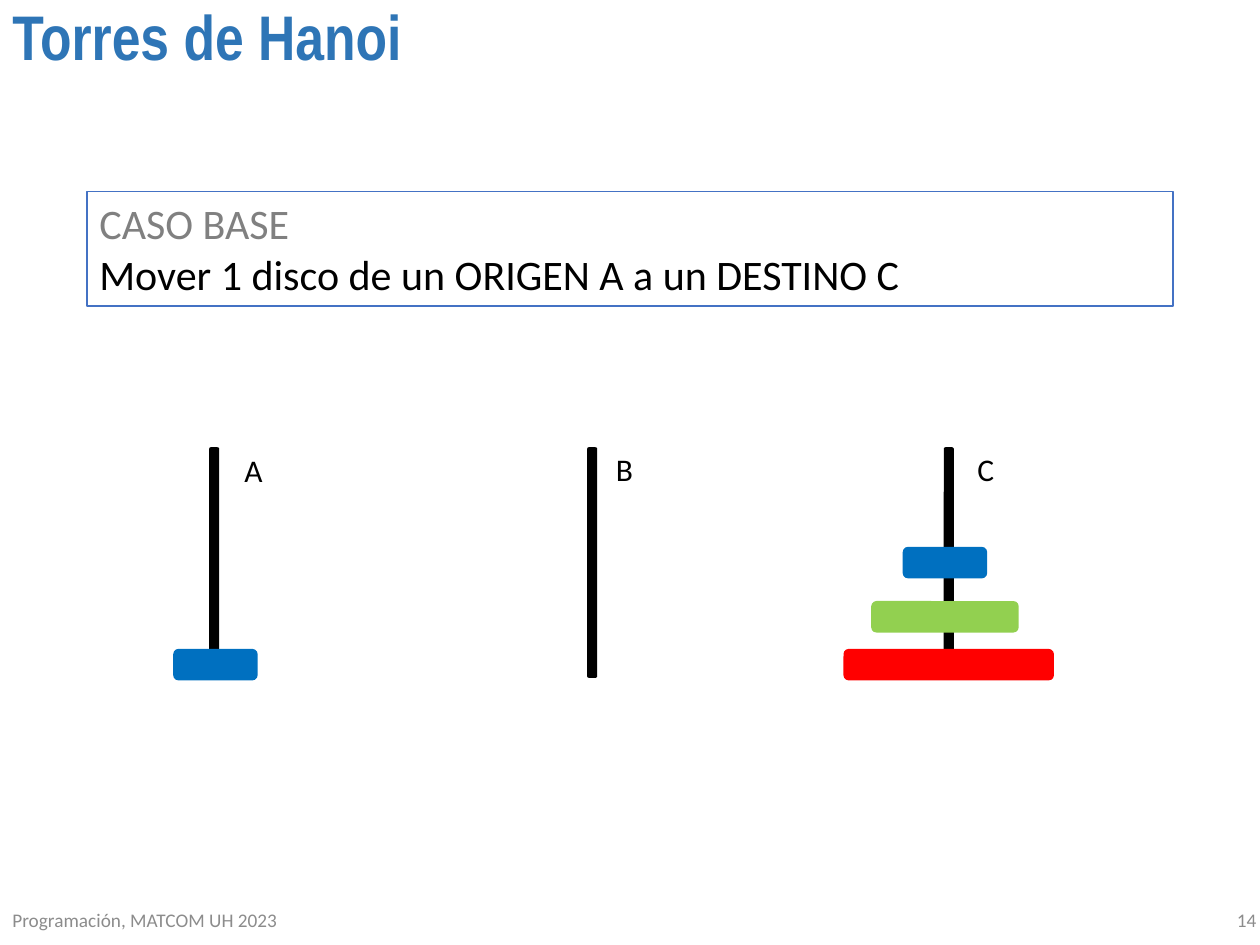
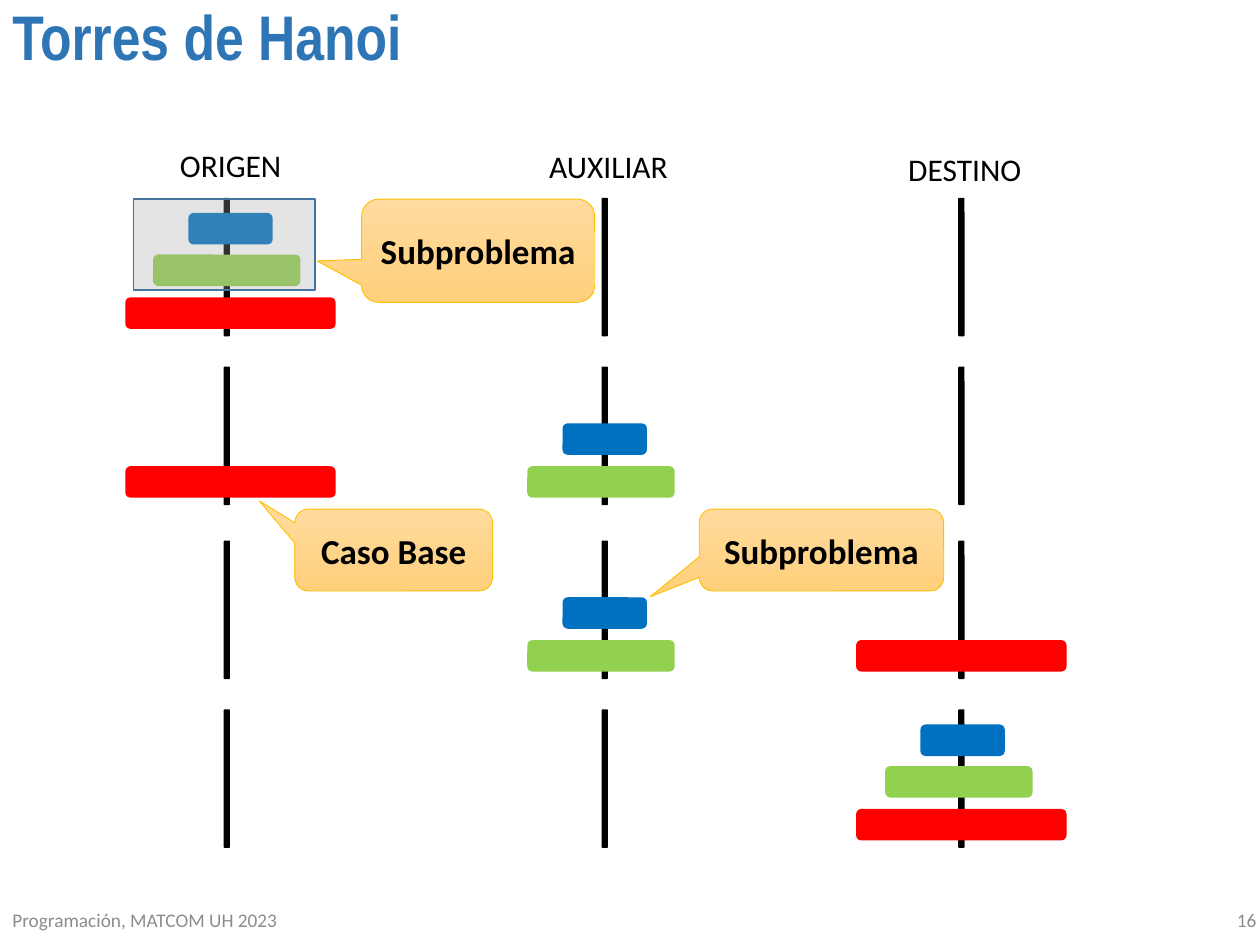
from pptx import Presentation
from pptx.dml.color import RGBColor
from pptx.enum.shapes import MSO_SHAPE
from pptx.enum.text import MSO_ANCHOR, PP_ALIGN
from pptx.oxml.ns import qn
from pptx.util import Inches, Pt
from lxml.etree import SubElement

# Content
TITLE = "Torres de Hanoi"
FOOT = "Programación, MATCOM UH 2023"
CASE = [("CASO BASE", "gray"),
        ("Mover 1 disco de un ORIGEN A a un DESTINO C", "black")]

# Each row lists the discs on its three pegs, from the bottom up
BASE = {
    "page": 14,
    "pegs": (1.7, 4.7, 7.53), "rod": (0.08, 1.83),
    "tops": (3.55,), "lifts": (1.6, 1.22, 0.79),
    "rows": [(["blue"], [], ["red", "green", "blue"])],
    "shift": {(0, "blue"): 0.01, (2, "green"): -0.03, (2, "blue"): -0.03},
    "names": [("A", 1.84, 3.53, 0.35), ("B", 4.79, 3.52, 0.34),
              ("C", 7.66, 3.52, 0.34)],
}
STEPS = {
    "page": 16,
    "pegs": (1.8, 4.8, 7.63), "rod": (0.05, 1.1),
    "tops": (1.57, 2.91, 4.29, 5.63), "lifts": (0.79, 0.45, 0.12),
    "rows": [(["red", "green", "blue"], [], []),
             (["red"], ["green", "blue"], []),
             ([], ["green", "blue"], ["red"]),
             ([], [], ["red", "green", "blue"])],
    "shift": {(0, "red"): 0.03, (0, "blue"): 0.03, (1, "green"): -0.03,
              (2, "green"): -0.02, (2, "blue"): 0.01},
    "names": [("ORIGEN", 1.33, 1.11, 1.01), ("AUXILIAR", 4.26, 1.12, 1.15),
              ("DESTINO", 7.11, 1.14, 1.11)],
}
# Callouts: text, box, tip as a share of the box from its centre
NOTES = [("Caso Base", (2.34, 4.04, 1.57, 0.65), (-0.68, -0.6)),
         ("Subproblema", (2.87, 1.58, 1.85, 0.82), (-0.69, 0.1)),
         ("Subproblema", (5.55, 4.04, 1.94, 0.65), (-0.7, 0.57))]

# Shared style
HUES = {"title": "2E75B6", "foot": "8C8C8C", "gray": "808080",
        "black": "000000", "white": "FFFFFF", "frame": "4472C4",
        "red": "FF0000", "green": "92D050", "blue": "0070C0",
        "veil": "A6A6A6", "rim": "43739E", "gold": "FFC000",
        "light": "FFDB9E", "deep": "FFD07C"}
WIDE, HIGH = 10, 7.5
DISC = {"red": 1.67, "green": 1.17, "blue": 0.67}
THICK = 0.25


def hue(name):
    return RGBColor.from_string(HUES[name])


def write(shape, lines, size, font="Calibri", bold=False,
          align=PP_ALIGN.LEFT, anchor=MSO_ANCHOR.TOP, wrap=True):
    """Fill a shape with (text, colour) lines."""
    frame = shape.text_frame
    frame.text = "\n".join(text for text, _ in lines)
    frame.word_wrap = wrap
    frame.vertical_anchor = anchor
    for para, (_, tint) in zip(frame.paragraphs, lines):
        para.alignment = align
        face = para.runs[0].font
        face.name, face.size, face.bold = font, Pt(size), bold
        face.color.rgb = hue(tint)
    return frame


def label(slide, box, text, tint, size, **style):
    area = slide.shapes.add_textbox(*map(Inches, box))
    return write(area, [(text, tint)], size, **style)


def block(slide, kind, box, fill=None, line=None, width=1):
    shape = slide.shapes.add_shape(kind, *map(Inches, box))
    shape.shadow.inherit = False
    if fill:
        shape.fill.solid()
        shape.fill.fore_color.rgb = hue(fill)
    if line:
        shape.line.color.rgb = hue(line)
        shape.line.width = Pt(width)
    else:
        shape.line.fill.background()
    return shape


def start(deck, page):
    """Add a slide with the shared title and footer."""
    slide = deck.slides.add_slide(deck.slide_layouts[6])
    head = label(slide, (0, 0, 8.62, 1.12), TITLE, "title", 36,
                 font="Arial Narrow", bold=True)
    head.paragraphs[0].line_spacing = 0.9
    band = HIGH - 0.4
    label(slide, (0, band, 6, 0.4), FOOT, "foot", 11,
          anchor=MSO_ANCHOR.MIDDLE)
    label(slide, (7.82, band, 2.25, 0.4), str(page), "foot", 11,
          align=PP_ALIGN.RIGHT, anchor=MSO_ANCHOR.MIDDLE)
    return slide


def towers(slide, plan):
    """Draw each row of rods, then the discs stacked on them."""
    thin, tall = plan["rod"]
    for top, row in zip(plan["tops"], plan["rows"]):
        for peg, (mid, stack) in enumerate(zip(plan["pegs"], row)):
            block(slide, MSO_SHAPE.ROUNDED_RECTANGLE,
                  (mid - thin / 2, top, thin, tall), "black")
            for disc, lift in zip(stack, plan["lifts"]):
                wide = DISC[disc]
                left = mid + plan["shift"].get((peg, disc), 0) - wide / 2
                block(slide, MSO_SHAPE.ROUNDED_RECTANGLE,
                      (left, top + lift, wide, THICK), disc)
    for name, left, top, wide in plan["names"]:
        label(slide, (left, top, wide, 0.4), name, "black", 18, wrap=False)


def callout(slide, text, box, tip):
    shape = block(slide, MSO_SHAPE.ROUNDED_RECTANGULAR_CALLOUT, box,
                  line="gold", width=0.5)
    shape.adjustments[0], shape.adjustments[1] = tip
    shape.fill.gradient()
    shape.fill.gradient_angle = 270
    for stop, tint in zip(shape.fill.gradient_stops, ("light", "deep")):
        stop.color.rgb = hue(tint)
    write(shape, [(text, "black")], 20, bold=True,
          align=PP_ALIGN.CENTER, anchor=MSO_ANCHOR.MIDDLE)


def main():
    deck = Presentation()
    deck.slide_width, deck.slide_height = Inches(WIDE), Inches(HIGH)

    # Base case
    slide = start(deck, BASE["page"])
    frame = block(slide, MSO_SHAPE.RECTANGLE, (0.69, 1.52, 8.62, 0.91),
                  "white", "frame")
    write(frame, CASE, 24)
    towers(slide, BASE)

    # Recursive steps
    slide = start(deck, STEPS["page"])
    towers(slide, STEPS)
    veil = block(slide, MSO_SHAPE.RECTANGLE, (1.06, 1.58, 1.44, 0.72),
                 "veil", "rim")
    tint = veil.fill._xPr.find(qn("a:solidFill"))[0]
    SubElement(tint, qn("a:alpha")).set("val", "30000")
    for note in NOTES:
        callout(slide, *note)

    deck.save("out.pptx")


if __name__ == "__main__":
    main()
